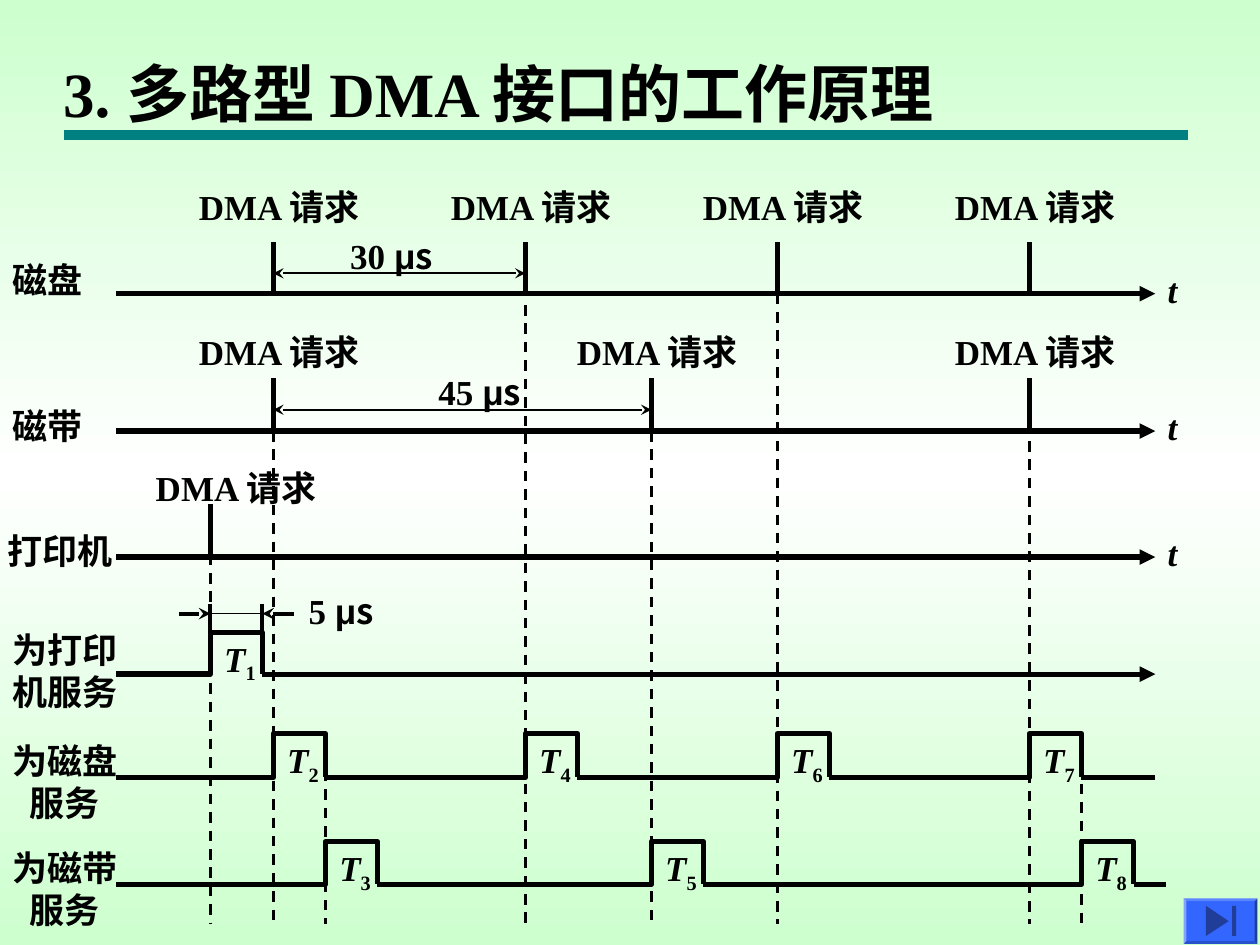
from copy import deepcopy

from lxml.etree import SubElement
from pptx import Presentation
from pptx.dml.color import RGBColor
from pptx.enum.dml import MSO_LINE_DASH_STYLE as Dash
from pptx.enum.shapes import MSO_CONNECTOR as Connector, MSO_SHAPE as Shape
from pptx.enum.text import MSO_ANCHOR as Anchor, MSO_AUTO_SIZE as AutoSize, PP_ALIGN as Align
from pptx.oxml.ns import qn
from pptx.util import Cm, Pt

LATIN, CHINESE = "Times New Roman", "Noto Sans CJK SC"
BLACK = "000000"
AXIS_START, AXIS_END = 2.34, 23.29
PULSE = 1.05  # width of one service pulse


def time_x(microseconds):
    """Horizontal place of a moment; 30 microseconds span 5.08 cm."""
    return 5.51 + microseconds * 5.08 / 30


def color(hex_string):
    return RGBColor.from_string(hex_string)


def paint_background(page):
    fill = page.background.fill
    fill.gradient()
    fill.gradient_angle = 90
    first = fill.gradient_stops[0]._gs
    first.addnext(deepcopy(first))
    stops = ((0, "CDFFCE"), (0.5, "FFFFFF"), (1, "CDFFCE"))
    for stop, (position, shade) in zip(fill.gradient_stops, stops):
        stop.position = position
        stop.color.rgb = color(shade)


def write(frame, paragraphs, size=20, align=Align.LEFT, anchor=Anchor.TOP):
    """Fill a frame; each paragraph is a list of (text, options) spans."""
    frame.word_wrap = False
    frame.auto_size = AutoSize.NONE
    frame.vertical_anchor = anchor
    for number, spans in enumerate(paragraphs):
        para = frame.add_paragraph() if number else frame.paragraphs[0]
        para.alignment = align
        for content, options in spans:
            span = para.add_run()
            span.text = content
            font = span.font
            font.size, font.bold = Pt(size), True
            font.italic = options.get("italic", False)
            font.name = options.get("font", LATIN)
            font.color.rgb = color(BLACK)
            properties = span._r.get_or_add_rPr()
            SubElement(properties, qn("a:ea")).set("typeface", CHINESE)
            if "baseline" in options:
                properties.set("baseline", str(options["baseline"]))


def add_text(page, left, top, width, height, paragraphs, **options):
    box = page.shapes.add_textbox(Cm(left), Cm(top), Cm(width), Cm(height))
    write(box.text_frame, paragraphs, **options)


def add_line(page, x1, y1, x2, y2, width=3, shade=BLACK, dash=None, head=None, tail=None):
    line = page.shapes.add_connector(Connector.STRAIGHT, Cm(x1), Cm(y1), Cm(x2), Cm(y2))
    line.line.color.rgb = color(shade)
    line.line.width = Pt(width)
    if dash:
        line.line.dash_style = dash
    for tag, kind in (("a:headEnd", head), ("a:tailEnd", tail)):
        if kind:
            SubElement(line.line._get_or_add_ln(), qn(tag)).set("type", kind)
    SubElement(line._element.spPr, qn("a:effectLst"))


def add_outline(page, points, close=False):
    corners = [(Cm(x), Cm(y)) for x, y in points]
    builder = page.shapes.build_freeform(*corners[0], scale=1.0)
    builder.add_line_segments(corners[1:], close=close)
    outline = builder.convert_to_shape()
    outline.shadow.inherit = False
    return outline


def add_request_axis(page, axis_y, tick_top, times, label_top, label_shift=1.75):
    """Time axis with a tick and a label for every DMA request."""
    add_line(page, AXIS_START, axis_y, AXIS_END, axis_y, tail="triangle")
    for moment in times:
        x = time_x(moment)
        add_line(page, x, tick_top, x, axis_y)
        add_text(page, x - label_shift, label_top, 3.96, 1.12, [[("DMA 请求", {})]])
    add_text(page, AXIS_END, axis_y - 0.64, 0.69, 1.12, [[("t", {"italic": True})]])


def add_duration(page, left, top, width, number):
    spans = [(number + " ", {}), ("μ", {"font": "Arial"}), ("s", {"font": CHINESE})]
    add_text(page, left, top, width, 1.12, [spans])


def add_service_wave(page, base, top, pulses, end, tail=None):
    """Stepped line with one labelled pulse for each (left, number)."""
    start = AXIS_START
    for left, number in pulses:
        right = left + PULSE
        wave = add_outline(page, [(start, base), (left, base), (left, top),
                                  (right, top), (right, base)])
        wave.fill.background()
        wave.line.color.rgb = color(BLACK)
        wave.line.width = Pt(3)
        name = [("T", {"italic": True}), (str(number), {"baseline": -25000})]
        add_text(page, left + 0.03, top - 0.03, 1.14, 1.22, [name])
        start = right
    add_line(page, start, base, end, base, tail=tail)


def add_next_button(page):
    button = page.shapes.add_shape(Shape.BEVEL, Cm(23.86), Cm(18.11), Cm(1.49), Cm(0.92))
    button.adjustments[0] = 0.06
    triangle = add_outline(page, [(24.31, 18.26), (24.77, 18.57), (24.31, 18.87)], close=True)
    bar = page.shapes.add_shape(Shape.RECTANGLE, Cm(24.84), Cm(18.26), Cm(0.08), Cm(0.61))
    for part, shade in ((button, "3366FF"), (triangle, "1F3D99"), (bar, "1F3D99")):
        part.shadow.inherit = False
        part.fill.solid()
        part.fill.fore_color.rgb = color(shade)
        part.line.fill.background()


def main():
    deck = Presentation()
    deck.slide_width, deck.slide_height = Cm(25.4), Cm(19.05)
    page = deck.slides.add_slide(deck.slide_layouts[5])
    paint_background(page)

    # Title and its rule
    add_line(page, 1.3, 2.72, 23.95, 2.72, width=6, shade="008080")
    title = page.shapes.title
    title.left, title.top, title.width, title.height = Cm(1.02), Cm(0.97), Cm(19.02), Cm(1.78)
    write(title.text_frame, [[("3. 多路型 DMA 接口的工作原理", {})]], size=36, anchor=Anchor.MIDDLE)

    # Service waves: printer, disk, tape
    printer, after_first, after_last = time_x(-7.5), time_x(0) + PULSE, time_x(90) + PULSE
    add_service_wave(page, 13.59, 12.75, [(printer, 1)], AXIS_END, tail="triangle")
    add_service_wave(page, 15.67, 14.79, [(time_x(30 * step), number)
                                          for step, number in enumerate((2, 4, 6, 7))], AXIS_END)
    add_service_wave(page, 17.83, 16.97, [(after_first, 3), (time_x(45), 5), (after_last, 8)], 23.5)

    # Length of the printer pulse
    for edge, outside in ((printer, -0.64), (printer + PULSE, 0.64)):
        add_line(page, edge, 12.17, edge, 12.8, width=2.25)
        add_line(page, edge + outside, 12.37, edge, 12.37, width=2.25, tail="stealth")
    add_line(page, printer, 12.37, printer + PULSE, 12.37, width=0.75)
    add_duration(page, 5.97, 11.76, 1.85, "5")

    # Dashed guides
    guides = [(time_x(0), 8.69), (time_x(30), 6.15), (time_x(60), 5.92), (time_x(90), 8.89),
              (time_x(45), 8.69), (printer, 11.18), (after_first, 14.8), (after_last, 15.06)]
    for x, top in guides:
        add_line(page, x, top, x, 18.62, width=1.5, dash=Dash.DASH)

    # Request axes: disk, tape, printer
    add_request_axis(page, 5.92, 4.88, (0, 30, 60, 90), 3.62)
    add_request_axis(page, 8.69, 7.62, (0, 45, 90), 6.53)
    add_request_axis(page, 11.23, 10.16, (-7.5,), 9.27, label_shift=1.35)

    # Request periods
    for period, y, left, top in ((30, 5.51, 6.81, 4.6), (45, 8.26, 8.59, 7.34)):
        add_line(page, time_x(0), y, time_x(period), y, width=1, head="stealth", tail="stealth")
        add_duration(page, left, top, 2.21, str(period))

    # Row names
    names = [(0, 5.08, 1.91, ["磁盘"]), (0, 8.03, 1.91, ["磁带"]), (-0.1, 10.54, 2.62, ["打印机"]),
             (0, 12.55, 2.62, ["为打印", "机服务"]), (0, 14.78, 2.62, ["为磁盘", "服务"]),
             (0, 16.94, 2.62, ["为磁带", "服务"])]
    for left, top, width, lines in names:
        add_text(page, left, top, width, 0.27 + 0.85 * len(lines),
                 [[(text, {})] for text in lines], align=Align.CENTER)

    add_next_button(page)
    deck.save("out.pptx")


if __name__ == "__main__":
    main()
